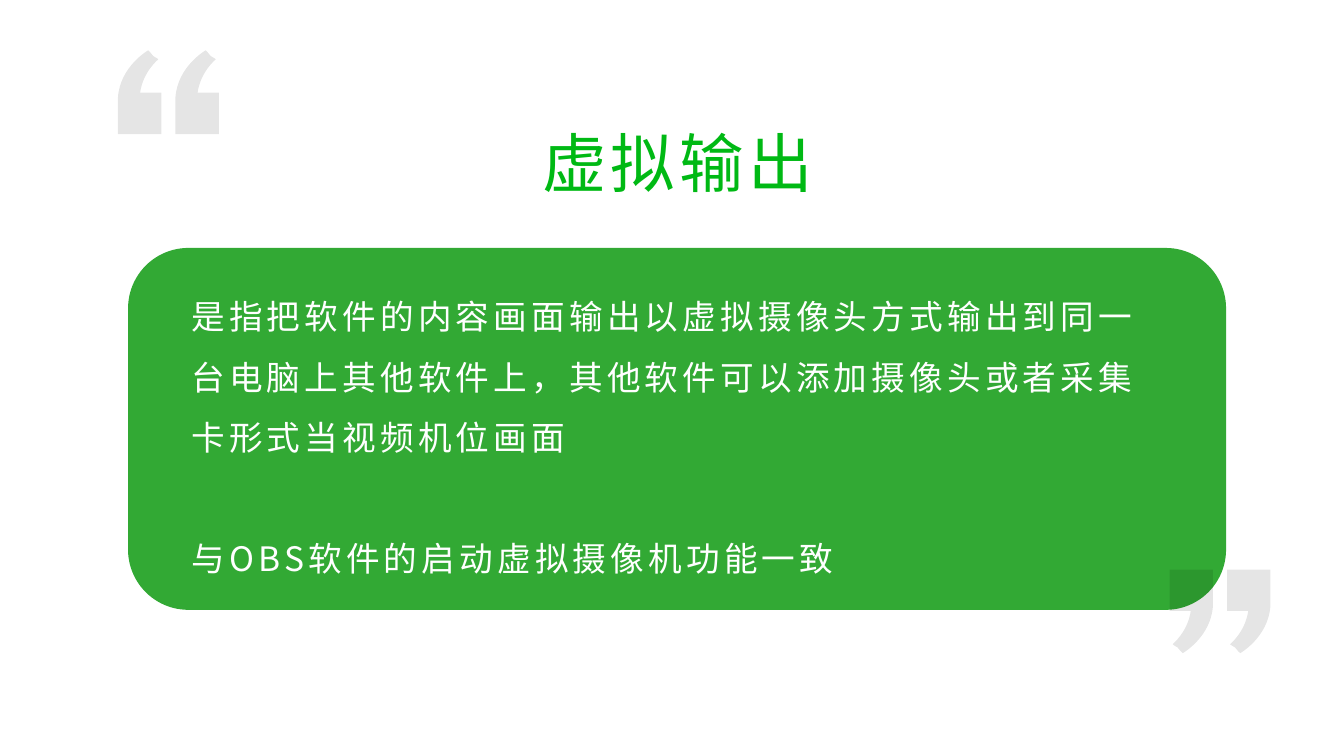
from lxml import etree
from pptx import Presentation
from pptx.dml.color import RGBColor
from pptx.enum import shapes, text
from pptx.oxml.ns import qn
from pptx.util import Inches, Pt

FONT = "Noto Sans CJK SC"
TITLE_GREEN = RGBColor(0x00, 0xB9, 0x14)
PANEL_GREEN = RGBColor(0x32, 0xA9, 0x34)
WHITE = RGBColor(0xFF, 0xFF, 0xFF)
BLACK = RGBColor(0x00, 0x00, 0x00)

MARK_PITCH = 0.57
# Outline of one opening mark: a point is a line, three points are a curve.
MARK_OUTLINE = [
    [(0.3, 0)], [(0.32, 0.02)],
    [(0.34, 0.05), (0.36, 0.07), (0.39, 0.08)],
    [(0.4, 0.09)],
    [(0.4, 0.09), (0.25, 0.21), (0.22, 0.42)],
    [(0.43, 0.42)], [(0.43, 0.83)], [(0, 0.83)], [(0, 0.47)],
    [(0.02, 0.16), (0.3, 0), (0.3, 0)],
]


def curve_edges(mark):
    """Replace the straight edges that stand for curves by cubic curves."""
    edges = list(mark._element.iter(qn("a:lnTo")))
    for edge, segment in zip(edges, MARK_OUTLINE[1:]):
        if len(segment) == 3:
            curve = etree.Element(qn("a:cubicBezTo"))
            for x, y in segment:
                etree.SubElement(curve, qn("a:pt"), x=str(Inches(x)), y=str(Inches(y)))
            edge.getparent().replace(edge, curve)


def add_quote(slide, left, top, closing=False):
    """Draw a pair of marks; a closing pair is turned by half a circle."""
    group = slide.shapes.add_group_shape()
    for index in (0, 1) if closing else (1, 0):
        mark_left = left + index * MARK_PITCH
        corners = [(Inches(mark_left + segment[-1][0]), Inches(top + segment[-1][1]))
                   for segment in MARK_OUTLINE]
        builder = group.shapes.build_freeform(*corners[0])
        builder.add_line_segments(corners[1:], close=True)
        mark = builder.convert_to_shape()
        curve_edges(mark)
        mark.rotation = 180 if closing else 0
        mark.shadow.inherit = False
        mark.line.fill.background()
        mark.fill.solid()
        mark.fill.fore_color.rgb = BLACK
        color = mark._element.spPr.find(qn("a:solidFill"))[0]
        etree.SubElement(color, qn("a:alpha"), val="10000")


def add_text(slide, box, lines, size, color, frame_format, paragraph_format):
    frame = slide.shapes.add_textbox(*map(Inches, box)).text_frame
    for name, value in frame_format.items():
        setattr(frame, name, value)
    for index, line in enumerate(lines):
        paragraph = frame.add_paragraph() if index else frame.paragraphs[0]
        for name, value in paragraph_format.items():
            if index or name != "space_before":
                setattr(paragraph, name, value)
        run = paragraph.add_run()
        run.text = line
        run.font.size = Pt(size)
        run.font.color.rgb = color
        run.font.name = FONT
        properties = run.font._element
        properties.set("spc", "300")
        etree.SubElement(properties, qn("a:ea"), typeface=FONT)


def add_title(slide, box):
    add_text(slide, box, ["虚拟输出"], 46, TITLE_GREEN,
             {"word_wrap": True, "vertical_anchor": text.MSO_ANCHOR.MIDDLE,
              "margin_left": Inches(0.07), "margin_right": Inches(0.07),
              "margin_top": Inches(0.03), "margin_bottom": Inches(0.63)},
             {"alignment": text.PP_ALIGN.CENTER})


def add_panel(slide, left, top, width, height):
    panel = slide.shapes.add_shape(shapes.MSO_SHAPE.ROUNDED_RECTANGLE,
                                   *map(Inches, (left, top, width, height)))
    panel.shadow.inherit = False
    panel.fill.solid()
    panel.fill.fore_color.rgb = PANEL_GREEN
    panel.line.fill.background()
    lines = [
        "是指把软件的内容画面输出以虚拟摄像头方式输出到同一台电脑上其他软件上，"
        "其他软件可以添加摄像头或者采集卡形式当视频机位画面",
        "与OBS软件的启动虚拟摄像机功能一致",
    ]
    add_text(slide, (left + 0.53, top + 0.23, 9.83, 3.13), lines, 24, WHITE,
             {"word_wrap": True, "auto_size": text.MSO_AUTO_SIZE.SHAPE_TO_FIT_TEXT},
             {"line_spacing": 1.5, "space_before": Pt(43.2)})


def main():
    presentation = Presentation()
    presentation.slide_width = Inches(13.33)
    presentation.slide_height = Inches(7.5)
    slide = presentation.slides.add_slide(presentation.slide_layouts[6])
    add_title(slide, (2.23, 0.33, 8.98, 3.15))
    add_quote(slide, 1.17, 0.5)
    add_panel(slide, 1.27, 2.46, 10.89, 3.59)
    add_quote(slide, 11.6, 5.65, closing=True)
    presentation.save("out.pptx")


if __name__ == "__main__":
    main()
